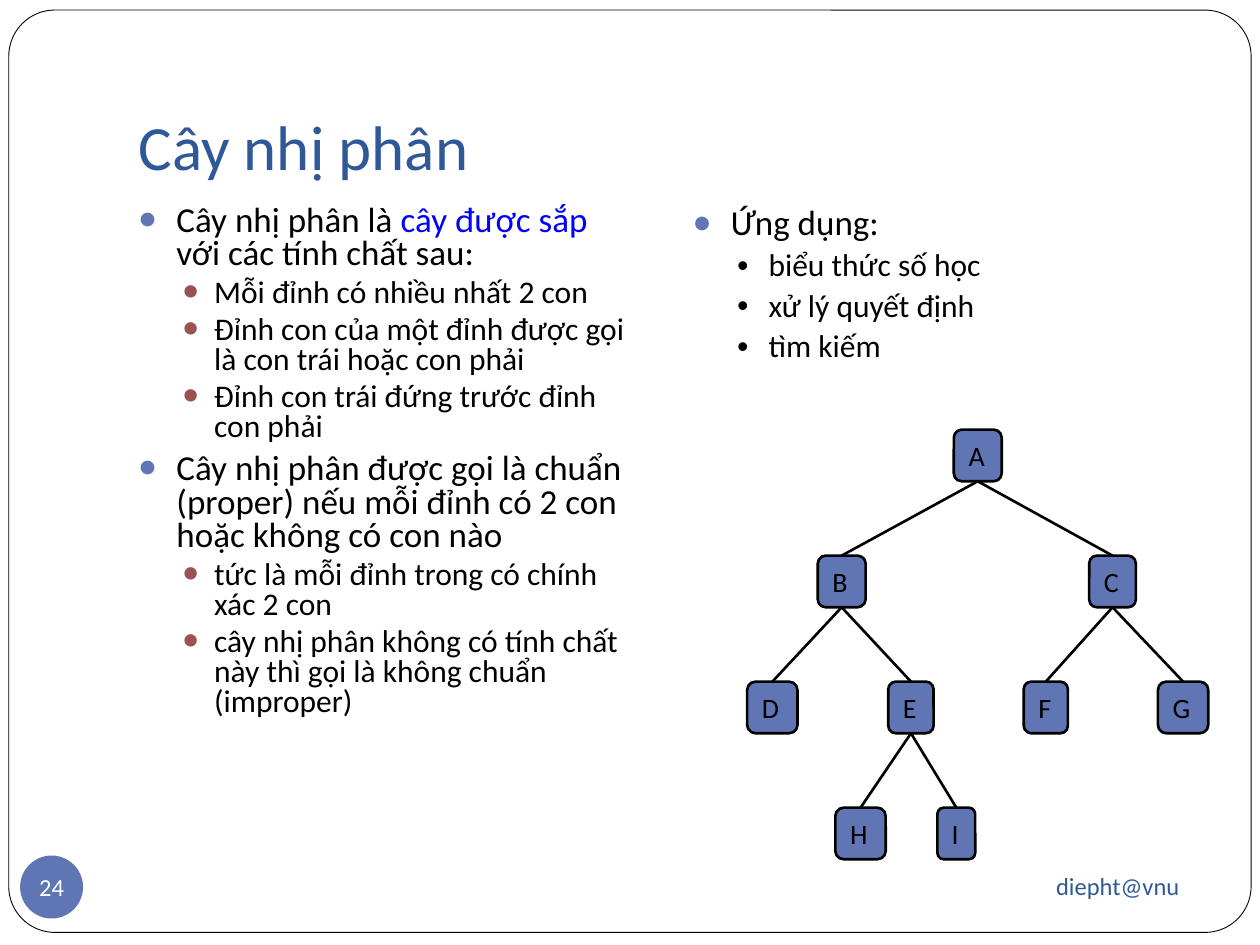
import pptx
import pptx.util
from lxml import etree
from pptx.dml.color import RGBColor
from pptx.enum.shapes import MSO_CONNECTOR, MSO_SHAPE
from pptx.enum.text import MSO_ANCHOR, MSO_AUTO_SIZE, PP_ALIGN
from pptx.oxml.ns import qn
from pptx.util import Inches

FONT = "Calibri"
COLORS = {
    "title": "2F5897",
    "accent": "6076B4",
    "sub_bullet": "9C5252",
    "highlight": "0000FF",
    "black": "000000",
    "white": "FFFFFF",
}

DEFINITION = [
    (0, ["Cây nhị phân là ", "cây được sắp ", "với các tính chất sau:"]),
    (1, ["Mỗi đỉnh có nhiều nhất 2 con"]),
    (1, ["Đỉnh con của một đỉnh được gọi là con trái hoặc con phải"]),
    (1, ["Đỉnh con trái đứng trước đỉnh con phải"]),
    (0, ["Cây nhị phân được gọi là chuẩn (proper) nếu mỗi đỉnh có 2 con hoặc không có con nào"]),
    (1, ["tức là mỗi đỉnh trong có chính xác 2 con"]),
    (1, ["cây nhị phân không có tính chất này thì gọi là không chuẩn (improper)"]),
]
APPLICATIONS = [
    (0, ["Ứng dụng:"]),
    (1, ["biểu thức số học"]),
    (1, ["xử lý quyết định"]),
    (1, ["tìm kiếm"]),
]

# name: (level, centre from the left of the tree, width)
TREE_NODES = {
    "A": (0, 1.83, 0.38),
    "B": (1, 0.75, 0.38),
    "C": (1, 2.9, 0.37),
    "D": (2, 0.2, 0.4),
    "E": (2, 1.3, 0.36),
    "F": (2, 2.37, 0.35),
    "G": (2, 3.46, 0.4),
    "H": (3, 0.9, 0.4),
    "I": (3, 1.66, 0.3),
}
TREE_EDGES = ["AB", "AC", "BD", "BE", "CF", "CG", "EH", "EI"]


def rgb(name):
    return RGBColor.from_string(COLORS[name])


def place(shape, left, top, width, height):
    shape.left, shape.top = Inches(left), Inches(top)
    shape.width, shape.height = Inches(width), Inches(height)


def format_font(font, size, color):
    font.name = FONT
    font.size = pptx.util.Pt(size)
    font.color.rgb = rgb(color)


def write_line(shape, text, size, color, align, anchor=MSO_ANCHOR.MIDDLE, wrap=True):
    frame = shape.text_frame
    frame.text = text
    frame.word_wrap = wrap
    frame.auto_size = MSO_AUTO_SIZE.NONE
    frame.vertical_anchor = anchor
    paragraph = frame.paragraphs[0]
    paragraph.alignment = align
    format_font(paragraph.runs[0].font, size, color)


def add_filled_shape(slide, preset, box, fill, line_width=None):
    shape = slide.shapes.add_shape(preset, *map(Inches, box))
    shape.shadow.inherit = False
    shape.fill.solid()
    shape.fill.fore_color.rgb = rgb(fill)
    if line_width:
        shape.line.color.rgb = rgb("black")
        shape.line.width = pptx.util.Pt(line_width)
    else:
        shape.line.fill.background()
    return shape


def add_frame(slide, left, top, width, height):
    """Draw the rounded page border behind everything else."""
    frame = add_filled_shape(slide, MSO_SHAPE.ROUNDED_RECTANGLE,
                             (left, top, width, height), "white", 0.5)
    frame.adjustments[0] = 0.05
    tree = slide.shapes._spTree
    tree.remove(frame._element)
    tree.insert(2, frame._element)


def fill_title(title, left, top, width, height):
    place(title, left, top, width, height)
    write_line(title, "Cây nhị phân", 36, "title", PP_ALIGN.LEFT, MSO_ANCHOR.BOTTOM)
    title.text_frame.margin_bottom = Inches(0.1)


def add_footer(slide, left, top, width, height):
    """Place the page number at the left end and the author at the right end."""
    badge = add_filled_shape(slide, MSO_SHAPE.OVAL, (left, top + 0.02, 0.5, 0.5), "accent")
    write_line(badge, "24", 14, "white", PP_ALIGN.CENTER, wrap=False)
    frame = badge.text_frame
    frame.margin_left = frame.margin_right = frame.margin_top = frame.margin_bottom = 0
    author_width = 2.71
    author = slide.shapes.add_textbox(Inches(left + width - author_width), Inches(top),
                                      Inches(author_width), Inches(height))
    write_line(author, "diepht@vnu", 14, "title", PP_ALIGN.RIGHT)


def set_bullet(paragraph, color, percent, margin, hanging):
    properties = paragraph._p.get_or_add_pPr()
    properties.set("marL", str(Inches(margin)))
    properties.set("indent", str(-Inches(hanging)))
    bullet_color = etree.SubElement(properties, qn("a:buClr"))
    etree.SubElement(bullet_color, qn("a:srgbClr"), val=COLORS[color])
    etree.SubElement(properties, qn("a:buSzPct"), val=str(percent * 1000))
    etree.SubElement(properties, qn("a:buFont"), typeface=FONT)
    etree.SubElement(properties, qn("a:buChar"), char="●")


def fill_list(body, box, items, line_spacing, sub_bullet):
    """Write a two-level list; sub_bullet is the colour and percent size of level two."""
    place(body, *box)
    frame = body.text_frame
    frame.word_wrap = True
    frame.auto_size = MSO_AUTO_SIZE.NONE
    for index, (level, parts) in enumerate(items):
        paragraph = frame.paragraphs[0] if index == 0 else frame.add_paragraph()
        paragraph.level = level
        if level == 0:
            size, space = 20, 5.8
            set_bullet(paragraph, "accent", 85, 0.3, 0.3)
        else:
            size, space = 18, 3.7
            set_bullet(paragraph, *sub_bullet, 0.6, 0.25)
        paragraph.line_spacing = line_spacing
        paragraph.space_before = pptx.util.Pt(space if index else 0)
        for part_index, part in enumerate(parts):
            run = paragraph.add_run()
            run.text = part
            format_font(run.font, size, "highlight" if part_index == 1 else "black")


def add_tree(slide, left, top):
    node_height, level_step = 0.41, 1
    nodes = {}
    for name, (level, centre, width) in TREE_NODES.items():
        box = (left + centre - width / 2, top + level * level_step, width, node_height)
        node = add_filled_shape(slide, MSO_SHAPE.ROUNDED_RECTANGLE, box, "accent", 1.5)
        write_line(node, name, 16, "black", PP_ALIGN.LEFT, wrap=False)
        nodes[name] = node
    for parent, child in TREE_EDGES:
        edge = slide.shapes.add_connector(MSO_CONNECTOR.STRAIGHT, 0, 0, 0, 0)
        edge.begin_connect(nodes[parent], 2)
        edge.end_connect(nodes[child], 0)
        edge.line.color.rgb = rgb("black")
        edge.line.width = pptx.util.Pt(1.5)
        etree.SubElement(edge._element.spPr, qn("a:effectLst"))


def main():
    presentation = pptx.Presentation()
    presentation.slide_width = Inches(10)
    presentation.slide_height = Inches(7.5)
    slide = presentation.slides.add_slide(presentation.slide_layouts.get_by_name("Two Content"))
    left_body, right_body = list(slide.placeholders)[1:3]
    add_frame(slide, 0.07, 0.08, 9.86, 7.32)
    fill_title(slide.shapes.title, 1, 0.3, 8.5, 1.25)
    add_footer(slide, 0.16, 6.77, 9.3, 0.52)
    fill_list(left_body, (1, 1.58, 4.1, 5), DEFINITION, 0.8, ("sub_bullet", 85))
    fill_list(right_body, (5.4, 1.58, 4.1, 5), APPLICATIONS, 0.9, ("black", 60))
    add_tree(slide, 5.93, 3.41)
    presentation.save("out.pptx")


if __name__ == "__main__":
    main()
